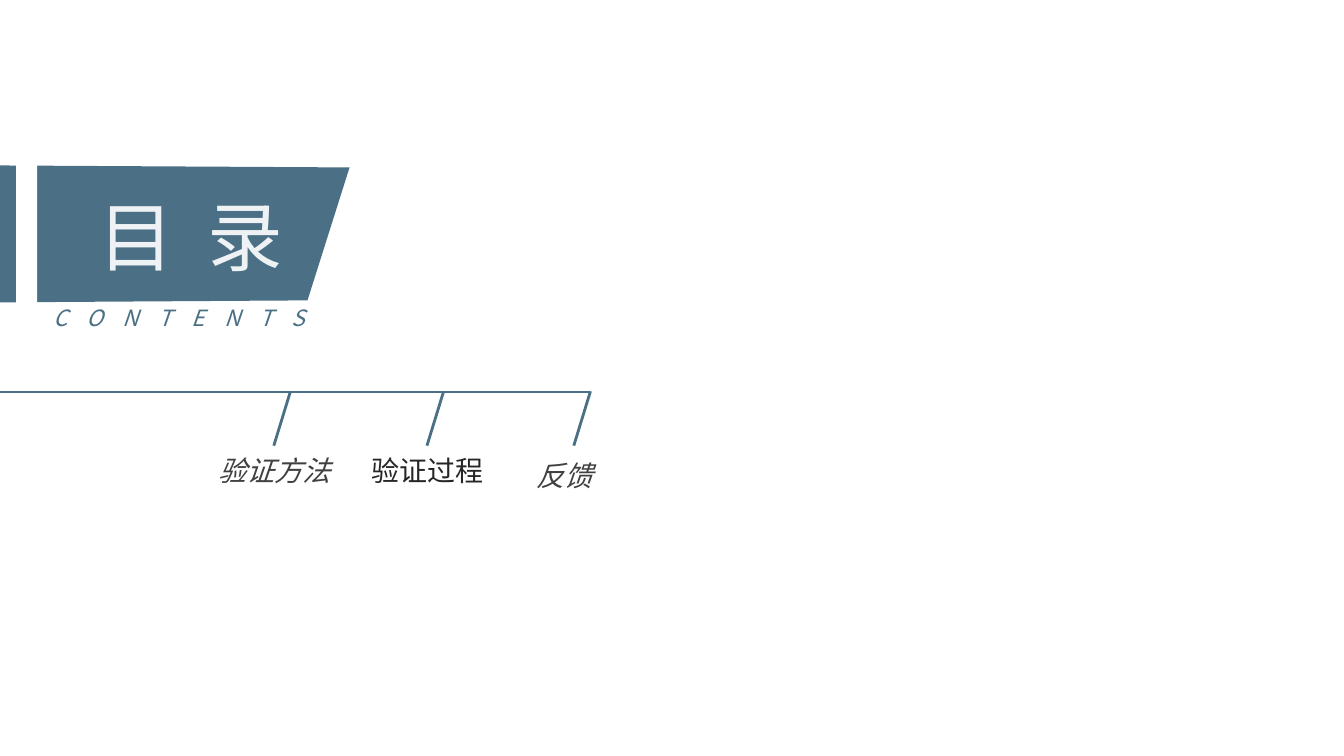
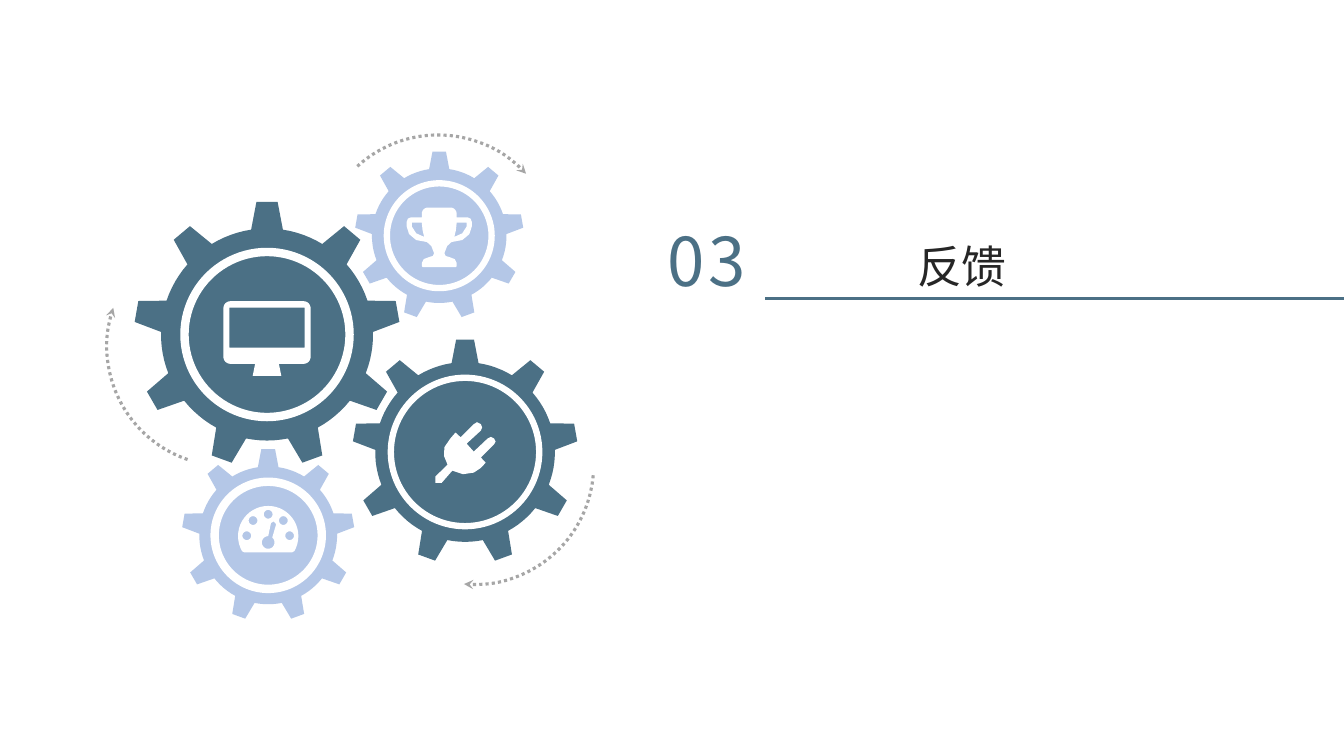
from math import cos, radians, sin

from lxml import etree
from pptx import Presentation
from pptx.dml.color import RGBColor
from pptx.enum.dml import MSO_LINE
from pptx.enum.shapes import MSO_CONNECTOR, MSO_SHAPE
from pptx.enum.text import MSO_ANCHOR, MSO_AUTO_SIZE, PP_ALIGN
from pptx.oxml.ns import qn
from pptx.util import Cm, Pt

LEFT, CENTER, RIGHT = PP_ALIGN.LEFT, PP_ALIGN.CENTER, PP_ALIGN.RIGHT
RECTANGLE, OVAL, ARC = MSO_SHAPE.RECTANGLE, MSO_SHAPE.OVAL, MSO_SHAPE.ARC
STRAIGHT = MSO_CONNECTOR.STRAIGHT
DOTTED = MSO_LINE.ROUND_DOT
TOP = MSO_ANCHOR.TOP
FIT_SHAPE = MSO_AUTO_SIZE.SHAPE_TO_FIT_TEXT

TITLE_ONLY_LAYOUT = 5
PAGE_WIDTH, PAGE_HEIGHT = 33.87, 19.05
FONT = "Noto Sans CJK SC"
STEEL, SKY, WHITE = "4B7085", "B4C7E7", "FFFFFF"
PALE, INK, DARK_GRAY, GRAY = "EEF2F4", "262626", "404040", "A6A6A6"


def colour(hex_code):
    return RGBColor.from_string(hex_code)


def arc_points(x, y, radius, start, stop, steps=6):
    """Points on a circle, in degrees clockwise from the right."""
    angles = [radians(start + (stop - start) * i / steps) for i in range(steps + 1)]
    return [(x + radius * cos(angle), y + radius * sin(angle)) for angle in angles]


def circle_points(x, y, radius):
    return arc_points(x, y, radius, 0, 360, 24)


def mirrored(points):
    return [(-x, y) for x, y in points]


def gear_points(radius, teeth=9):
    """Outline around (0, 0): tapered teeth joined by arcs of the root circle."""
    pitch = 360 / teeth
    tooth = [(-0.12, -0.79), (-0.08, -1), (0.08, -1), (0.12, -0.79)]
    tooth += arc_points(0, 0, 0.8, -81.4, pitch - 98.6)
    points = []
    for i in range(teeth):
        turn = radians(pitch * i)
        points += [(radius * (x * cos(turn) - y * sin(turn)),
                    radius * (x * sin(turn) + y * cos(turn))) for x, y in tooth]
    return points


def monitor_icon():
    case = (arc_points(-0.92, -0.66, 0.18, 180, 270)
            + arc_points(0.92, -0.66, 0.18, 270, 360)
            + arc_points(0.92, 0.56, 0.18, 0, 90)
            + [(0.3, 0.74), (0.36, 1.04), (-0.36, 1.04), (-0.3, 0.74)]
            + arc_points(-0.92, 0.56, 0.18, 90, 180))
    screen = [(-0.95, -0.68), (0.95, -0.68), (0.95, 0.33), (-0.95, 0.33)]
    return [case, screen]


def trophy_icon():
    half = (arc_points(0.28, -0.55, 0.16, 270, 360)
            + [(0.44, -0.46), (0.72, -0.46), (0.79, -0.43), (0.82, -0.35),
               (0.82, -0.23), (0.76, -0.04), (0.58, 0.11), (0.31, 0.16),
               (0.2, 0.26), (0.13, 0.44), (0.16, 0.51), (0.26, 0.54),
               (0.39, 0.59), (0.44, 0.69), (0.44, 0.77), (0.42, 0.79)])
    handle = [(0.69, -0.33), (0.44, -0.33), (0.42, -0.14), (0.38, 0.03),
              (0.58, -0.06), (0.69, -0.23)]
    return [half + mirrored(half)[::-1], handle, mirrored(handle)]


def gauge_icon():
    dial = arc_points(0, 0.02, 0.76, 150, 390, 32) + [(0.6, 0.43), (-0.6, 0.43)]
    needle = [(0.07, -0.31), (0.14, -0.35), (0.2, -0.28)]
    needle += arc_points(0, 0.18, 0.16, -50, 270, 20)
    dots = [circle_points(x, y, 0.11)
            for x, y in arc_points(0, 0.01, 0.54, 180, 360, 4)]
    return [dial, needle] + dots


def plug_icon():
    return [[(0.73, -0.19), (0.4, 0.14), (0.52, 0.27), (0.4, 0.4),
             (0.22, 0.52), (-0.05, 0.56), (-0.32, 0.47), (-0.59, 0.78),
             (-0.75, 0.78), (-0.75, 0.62), (-0.44, 0.32), (-0.53, 0.1),
             (-0.52, -0.12), (-0.37, -0.34), (-0.24, -0.49), (-0.11, -0.37),
             (0.22, -0.7), (0.3, -0.75), (0.4, -0.7), (0.43, -0.62),
             (0.4, -0.54), (0.04, -0.21), (0.22, -0.01), (0.57, -0.34),
             (0.65, -0.38), (0.73, -0.34), (0.77, -0.26)]]


class Builder:
    """Holds the deck, its style and the current page; lengths are in cm."""

    def __init__(self):
        self.deck = Presentation()
        self.deck.slide_width = Cm(PAGE_WIDTH)
        self.deck.slide_height = Cm(PAGE_HEIGHT)
        self.page = None

    def new_page(self):
        layout = self.deck.slide_layouts[TITLE_ONLY_LAYOUT]
        self.page = self.deck.slides.add_slide(layout)

    def fill_text(self, box, text, size, ink, align, italic=False, spacing=0):
        frame = box.text_frame
        frame.text = text
        frame.word_wrap = True
        frame.auto_size = FIT_SHAPE
        frame.vertical_anchor = TOP
        para = frame.paragraphs[0]
        para.alignment = align
        for span in para.runs:
            font = span.font
            font.size, font.name, font.italic = Pt(size), FONT, italic
            font.color.rgb = colour(ink)
        for properties in box.element.iter(qn("a:rPr")):
            etree.SubElement(properties, qn("a:ea"), typeface=FONT)
            if spacing:
                properties.set("spc", str(spacing * 100))

    def title(self, text, x, y, width, height, size, ink, align):
        """Fill the title placeholder and bring it in front of earlier shapes."""
        box = self.page.shapes.title
        box.left, box.top, box.width, box.height = Cm(x), Cm(y), Cm(width), Cm(height)
        self.fill_text(box, text, size, ink, align)
        self.page.shapes.element.append(box.element)

    def text(self, text, x, y, width, height, size, ink, align, **style):
        box = self.page.shapes.add_textbox(Cm(x), Cm(y), Cm(width), Cm(height))
        self.fill_text(box, text, size, ink, align, **style)

    def shape(self, kind, x, y, width, height, fill=None, line=None, weight=1):
        shape = self.page.shapes.add_shape(kind, Cm(x), Cm(y), Cm(width), Cm(height))
        self.paint(shape, fill, line, weight)
        return shape

    def paint(self, shape, fill, line=None, weight=1):
        shape.shadow.inherit = False
        if fill:
            shape.fill.solid()
            shape.fill.fore_color.rgb = colour(fill)
        else:
            shape.fill.background()
        if line:
            shape.line.color.rgb = colour(line)
            shape.line.width = Pt(weight)
        else:
            shape.line.fill.background()

    def outline(self, contours, fill, x=0, y=0):
        """Freeform of closed contours, offset by (x, y); inner ones are holes."""
        placed = [[(Cm(x + dx), Cm(y + dy)) for dx, dy in contour]
                  for contour in contours]
        first = placed[0]
        builder = self.page.shapes.build_freeform(*first[0])
        builder.add_line_segments(first[1:], close=True)
        for contour in placed[1:]:
            builder.move_to(*contour[0])
            builder.add_line_segments(contour[1:], close=True)
        self.paint(builder.convert_to_shape(), fill)

    def line(self, x1, y1, x2, y2):
        line = self.page.shapes.add_connector(STRAIGHT, Cm(x1), Cm(y1), Cm(x2), Cm(y2))
        line.line.color.rgb = colour(STEEL)
        line.line.width = Pt(2)
        etree.SubElement(line.element.spPr, qn("a:effectLst"))

    def curved_arrow(self, x, y, rotation, size=6.02):
        arrow = self.shape(ARC, x, y, size, size, line=GRAY, weight=2.25)
        arrow.rotation = rotation
        arrow.line.dash_style = DOTTED
        stroke = arrow.element.spPr.find(qn("a:ln"))
        etree.SubElement(stroke, qn("a:tailEnd"), type="stealth")

    def gear(self, x, y, radius, hub, ring, fill, icon):
        self.outline([gear_points(radius)], fill, x, y)
        self.shape(OVAL, x - hub, y - hub, 2 * hub, 2 * hub, fill, WHITE, ring)
        self.outline(icon, WHITE, x, y)


def contents_page(builder):
    builder.new_page()
    banner = [(0, 4.17), (8.81, 4.22), (7.75, 7.57), (0, 7.62)]
    builder.outline([banner], STEEL)
    builder.title("目  录", 0.71, 4.67, 6.68, 2.57, 54, PALE, RIGHT)
    builder.text("CONTENTS", 0, 7.54, 7.95, 0.94, 16, STEEL, RIGHT,
                 italic=True, spacing=14)
    builder.shape(RECTANGLE, 0.41, 2.16, 0.53, 10.74, WHITE)

    builder.line(0, 9.88, 14.88, 9.88)
    width = 3.91
    entries = [("验证方法", 7.32, 6.91, 11.3, DARK_GRAY, True),
               ("验证过程", 11.18, 10.77, 11.3, INK, False),
               ("反馈", 14.88, 14.22, 11.43, DARK_GRAY, True)]
    for label, tick, middle, top, ink, italic in entries:
        builder.line(tick, 9.86, tick - 0.42, 11.23)
        builder.text(label, middle - width / 2, top, width, 1.12, 20, ink, CENTER,
                     italic=italic)


def section_page(builder):
    builder.new_page()
    for x, y, rotation in [(2.69, 5.72, 198.9), (8.03, 3.4, 317.5), (8.94, 8.71, 94.9)]:
        builder.curved_arrow(x, y, rotation)
    gears = [(6.73, 8.43, 3.34, 2.08, 6, STEEL, monitor_icon()),
             (11.72, 11.39, 2.83, 1.87, 4.5, STEEL, plug_icon()),
             (6.76, 13.49, 2.17, 1.35, 6, SKY, gauge_icon()),
             (11.07, 5.94, 2.12, 1.32, 4.5, SKY, trophy_icon())]
    for gear in gears:
        builder.gear(*gear)

    builder.text("03", 16.56, 5.41, 3.66, 2.31, 48, STEEL, LEFT, spacing=3)
    builder.title("反馈", 19.28, 5.89, 9.93, 1.63, 32, INK, CENTER)
    builder.line(19.28, 7.52, PAGE_WIDTH, 7.52)


def main():
    builder = Builder()
    contents_page(builder)
    section_page(builder)
    builder.deck.save("out.pptx")


if __name__ == "__main__":
    main()
